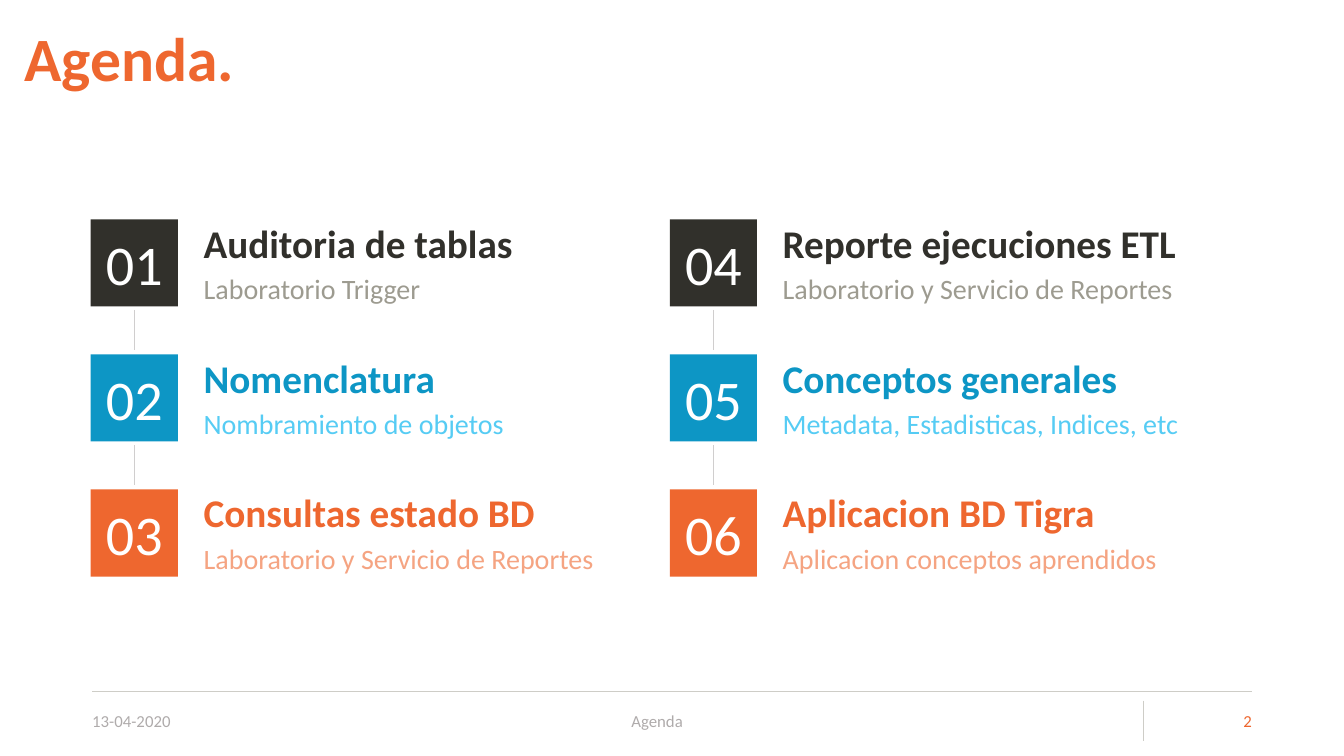
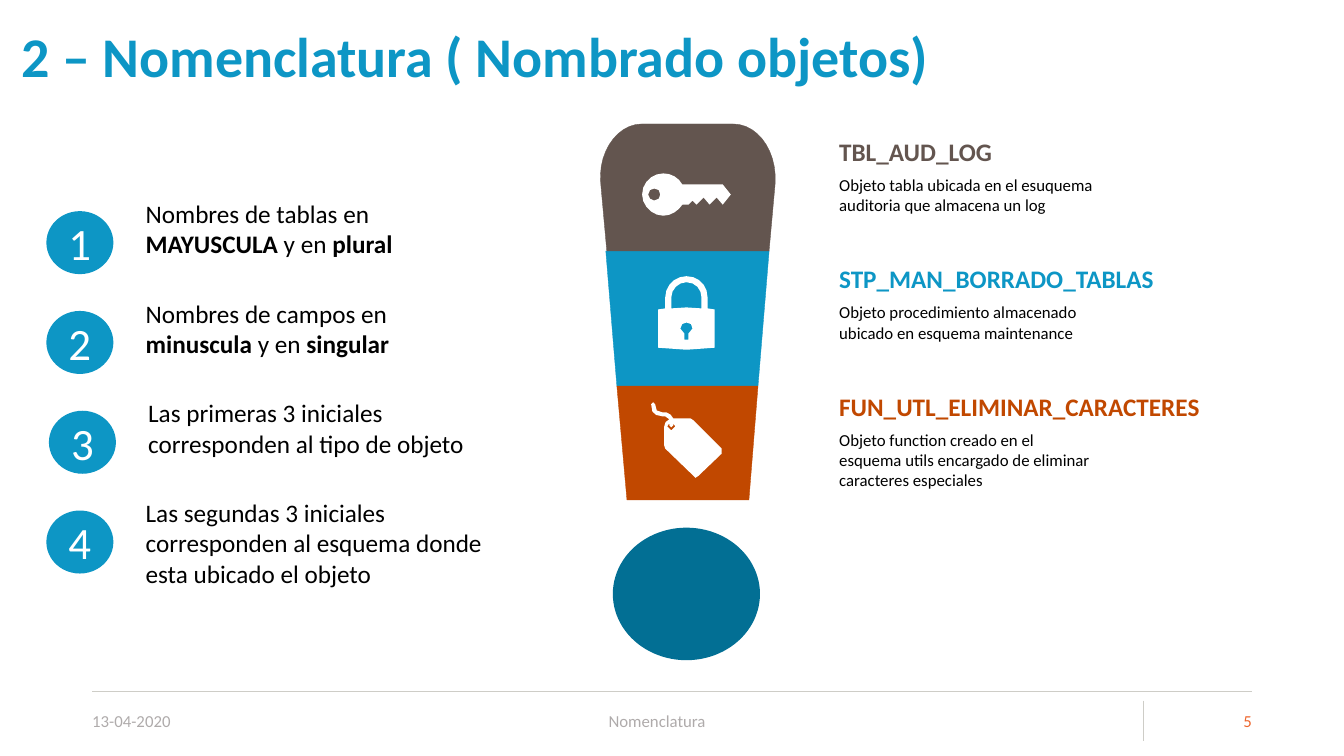
"""Build the agenda and naming-rules slides on a grid of 0.1 inch columns and rows."""
from math import ceil, dist

from lxml.etree import SubElement
from pptx import Presentation
from pptx.dml.color import RGBColor
from pptx.enum.shapes import MSO_CONNECTOR, MSO_SHAPE
from pptx.enum.text import MSO_ANCHOR, MSO_AUTO_SIZE, PP_ALIGN
from pptx.oxml.ns import qn
from pptx.util import Inches, Pt

DARK = RGBColor(0x31, 0x30, 0x2B)
BLUE = RGBColor(0x0D, 0x96, 0xC5)
ORANGE = RGBColor(0xEE, 0x67, 0x2F)
OLIVE = RGBColor(0x9D, 0x9B, 0x90)
SKY = RGBColor(0x56, 0xCC, 0xF4)
PEACH = RGBColor(0xF5, 0xA4, 0x82)
BROWN = RGBColor(0x63, 0x55, 0x4F)
RUST = RGBColor(0xC1, 0x48, 0x00)
TEAL = RGBColor(0x02, 0x6F, 0x94)
BLACK = RGBColor(0x00, 0x00, 0x00)
WHITE = RGBColor(0xFF, 0xFF, 0xFF)
GRAY = RGBColor(0xAF, 0xAB, 0xAB)
RULE = RGBColor(0xCE, 0xCD, 0xC7)
LINK = RGBColor(0xD0, 0xCE, 0xCE)

FONT = "Calibri"
CELL = Inches(0.1)
SIDES = ("margin_left", "margin_top", "margin_right", "margin_bottom")
EDGES = ("left", "top", "width", "height")
ONE_LIST, TWO_LISTS = 1, 3

AGENDA = [
    [("Auditoria de tablas", "Laboratorio Trigger"),
     ("Nomenclatura", "Nombramiento de objetos"),
     ("Consultas estado BD", "Laboratorio y Servicio de Reportes")],
    [("Reporte ejecuciones ETL", "Laboratorio y Servicio de Reportes"),
     ("Conceptos generales", "Metadata, Estadisticas, Indices, etc"),
     ("Aplicacion BD Tigra", "Aplicacion conceptos aprendidos")],
]
AGENDA_COLORS = [(DARK, OLIVE), (BLUE, SKY), (ORANGE, PEACH)]

RULES = [
    (0, "Nombres de tablas en *MAYUSCULA* y en *plural*"),
    (0, "Nombres de campos en *minuscula* y en *singular*"),
    (0.25, "Las primeras 3 iniciales corresponden al tipo de objeto"),
    (0, "Las segundas 3 iniciales corresponden al esquema donde esta ubicado el objeto"),
]
EXAMPLES = [
    ("TBL_AUD_LOG", BROWN,
     "Objeto tabla ubicada en el esuquema auditoria que almacena un log"),
    ("STP_MAN_BORRADO_TABLAS", BLUE,
     "Objeto procedimiento almacenado ubicado en esquema maintenance"),
    ("FUN_UTL_ELIMINAR_CARACTERES", RUST,
     "Objeto function creado en el esquema utils encargado de eliminar caracteres especiales"),
]

SEGMENTS = [
    (BLUE, [(60.1, 24.9), (76.3, 24.9), (75.2, 38.3), (61.2, 38.3)]),
    (BROWN, [(63.7, 12.3), (72.7, 12.3), (75.2, 12.3, 77.1, 15, 76.9, 18.2),
             (76.3, 24.9), (60.2, 24.9), (59.6, 18.2),
             (59.3, 15, 61.3, 12.3, 63.7, 12.3)]),
    (RUST, [(61.2, 38.3), (75.2, 38.3), (74.3, 49.6), (62.2, 49.6)]),
]
TAG = [
    [(66.6, 42.7), (66.4, 42.7, 66.2, 42.6, 66.2, 42.3),
     (66.2, 42.2, 66.3, 42.1, 66.4, 42), (66.4, 42.1, 66.4, 42.1, 66.4, 42.2),
     (66.4, 42.3, 66.5, 42.4, 66.6, 42.4), (66.8, 42.4, 66.8, 42.3, 66.8, 42.2),
     (66.8, 42.1, 66.8, 42.1, 66.8, 42), (67, 42.1, 67, 42.2, 67, 42.3),
     (67, 42.6, 66.9, 42.7, 66.6, 42.7)],
    [(71.6, 44.5), (68.8, 41.7), (68.7, 41.6, 68.6, 41.5, 68.5, 41.5),
     (66.8, 41.5), (66.7, 41.2, 66.4, 41, 66.1, 40.9),
     (66, 40.9, 65.8, 40.9, 65.7, 40.9), (65.2, 40.8, 65, 40.8, 65, 40.1),
     (65, 40, 65, 39.9, 64.8, 39.9), (64.7, 39.9, 64.6, 40, 64.6, 40.1),
     (64.6, 41.1, 65, 41.2, 65.7, 41.3), (65.8, 41.3, 65.9, 41.3, 66, 41.3),
     (66.1, 41.4, 66.3, 41.4, 66.4, 41.6), (66.1, 41.7, 65.9, 42, 65.9, 42.3),
     (65.9, 44.2), (65.9, 44.3, 65.9, 44.4, 66, 44.5), (68.8, 47.2),
     (68.8, 47.3, 68.9, 47.4, 69, 47.4), (69.1, 47.4, 69.2, 47.3, 69.3, 47.2),
     (71.6, 45), (71.7, 44.9, 71.7, 44.6, 71.6, 44.5)],
]
LOCK = [
    [(68.3, 33.1), (68.3, 33.7), (67.9, 33.7), (67.9, 33.1),
     (67.7, 33.1, 67.5, 32.8, 67.5, 32.6), (67.5, 32.2, 67.8, 32, 68.1, 32),
     (68.5, 32, 68.7, 32.2, 68.7, 32.6), (68.7, 32.8, 68.6, 33.1, 68.3, 33.1)],
    [(66.6, 29.5), (66.6, 28.7, 67.3, 28, 68.1, 28),
     (69, 28, 69.6, 28.7, 69.6, 29.5), (69.6, 30.6), (68.1, 30.5), (66.6, 30.6)],
    [(70.2, 30.6), (70.2, 29.5), (70.2, 28.3, 69.3, 27.4, 68.1, 27.4),
     (67, 27.4, 66, 28.3, 66, 29.5), (66, 30.6), (65.3, 30.7), (65.3, 34.5),
     (68.1, 34.7), (70.9, 34.5), (70.9, 30.7)],
]
KEY = [
    [(69.8, 19.6), (70.4, 20.3), (71.1, 19.6), (71.7, 20.3), (72.5, 19.3),
     (71.7, 18.3), (67.7, 18.3), (67.3, 17.6, 66.6, 17.2, 65.8, 17.2),
     (64.7, 17.2, 63.7, 18.1, 63.7, 19.3), (63.7, 20.4, 64.7, 21.4, 65.8, 21.4),
     (66.6, 21.4, 67.3, 20.9, 67.7, 20.3), (68.3, 20.3), (68.7, 19.9), (69.1, 20.3)],
    [(64.9, 19.9), (64.6, 19.9, 64.3, 19.6, 64.3, 19.3),
     (64.3, 18.9, 64.6, 18.7, 64.9, 18.7), (65.3, 18.7, 65.5, 18.9, 65.5, 19.3),
     (65.5, 19.6, 65.3, 19.9, 64.9, 19.9)],
]


def grid(*lengths):
    """Turn grid cells into EMU."""
    return [round(CELL * n) for n in lengths]


def flatten(contour):
    """Replace each cubic curve of a contour by a few straight steps."""
    points = [contour[0]]
    for step in contour[1:]:
        if len(step) == 2:
            points.append(step)
            continue
        ctrl = [points[-1], step[:2], step[2:4], step[4:]]
        count = ceil(1.5 * dist(ctrl[0], ctrl[3]))
        for i in range(1, count + 1):
            t = i / count
            weights = ((1 - t) ** 3, 3 * t * (1 - t) ** 2, 3 * t * t * (1 - t), t ** 3)
            points.append(tuple(sum(w * c[axis] for w, c in zip(weights, ctrl))
                                for axis in (0, 1)))
    return [grid(*point) for point in points]


class Deck:
    """Hold the shared style and the current slide."""

    def __init__(self):
        """Start an empty widescreen presentation."""
        self.prs = Presentation()
        self.prs.slide_width, self.prs.slide_height = grid(133.33, 75)
        self.s = None

    def slide(self, layout, title, at, size, color, footer, number):
        """Add a slide with its title, footer rules and footer texts."""
        self.s = self.prs.slides.add_slide(self.prs.slide_layouts[layout])
        self.line(9.15, 68.6, 124.2, 68.6, RULE)
        self.line(113.45, 69.5, 113.45, 73.5, RULE)
        tf = self.place(0, at, (0, 0.5, 1, 0.5), MSO_ANCHOR.MIDDLE)
        self.para(tf, title, size, color, bold=True,
                  alignment=PP_ALIGN.LEFT, line_spacing=0.9)
        for text, x, w, side, ink, align in (
                ("13-04-2020", 9.15, 14.2, (0, 0), GRAY, PP_ALIGN.LEFT),
                (footer, 28.9, 75.6, (1, 4), GRAY, PP_ALIGN.CENTER),
                (number, 114.7, 9.5, (0, 0), ORANGE, PP_ALIGN.RIGHT)):
            self.text(text, (x, 69.5, w, 4), 12, ink, (side[0], 0.5, side[1], 0.5),
                      MSO_ANCHOR.MIDDLE, alignment=align)

    def frame(self, tf, insets, anchor):
        """Format a text frame."""
        fmt = {"word_wrap": True, "auto_size": MSO_AUTO_SIZE.NONE,
               "vertical_anchor": anchor, **dict(zip(SIDES, grid(*insets)))}
        for name, value in fmt.items():
            setattr(tf, name, value)
        return tf

    def place(self, index, at, insets, anchor=MSO_ANCHOR.TOP):
        """Move a placeholder and return its text frame."""
        sp = self.s.placeholders[index]
        for name, value in zip(EDGES, grid(*at)):
            setattr(sp, name, value)
        return self.frame(sp.text_frame, insets, anchor)

    def para(self, tf, text, size, color, bold=False, **fmt):
        """Write a paragraph, with bold between asterisks."""
        p = tf.paragraphs[0]
        if p.runs:
            p = tf.add_paragraph()
        for name, value in fmt.items():
            setattr(p, name, value)
        for i, part in enumerate(text.split("*")):
            if part:
                r = p.add_run()
                r.text = part
                r.font.color.rgb = color
                for name, value in {"name": FONT, "size": Pt(size),
                                    "bold": bold or i % 2 == 1}.items():
                    setattr(r.font, name, value)
        return p

    def item(self, tf, text, size, color, after, bold=False, shift=0):
        """Write a list paragraph without a bullet."""
        p = self.para(tf, text, size, color, bold,
                      space_before=Pt(0), space_after=Pt(after))
        pPr = p._p.get_or_add_pPr()
        pPr.set("marL", str(grid(shift)[0]))
        pPr.set("indent", "0")
        SubElement(pPr, qn("a:buNone"))

    def text(self, text, at, size, color, insets, anchor=MSO_ANCHOR.TOP, bold=False, **fmt):
        """Add a text box with one paragraph."""
        tf = self.s.shapes.add_textbox(*grid(*at)).text_frame
        self.para(self.frame(tf, insets, anchor), text, size, color, bold, **fmt)

    def paint(self, sp, color, outline=False):
        """Fill a shape and set its outline."""
        sp.shadow.inherit = False
        sp.fill.solid()
        sp.fill.fore_color.rgb = color
        if outline:
            sp.line.color.rgb = color
            sp.line.width = Pt(0.25)
        else:
            sp.line.fill.background()

    def shape(self, kind, at, color, label="", size=40, inset=0.4):
        """Add a preset shape with a centred white label."""
        sp = self.s.shapes.add_shape(kind, *grid(*at))
        self.paint(sp, color)
        if label:
            tf = self.frame(sp.text_frame, [inset] * 4, MSO_ANCHOR.MIDDLE)
            self.para(tf, label, size, WHITE, alignment=PP_ALIGN.CENTER)

    def outline(self, contours, color, outline=False):
        """Add a freeform made of closed contours."""
        first, *others = [flatten(contour) for contour in contours]
        fb = self.s.shapes.build_freeform(*first[0])
        fb.add_line_segments(first[1:], close=True)
        for points in others:
            fb.move_to(*points[0])
            fb.add_line_segments(points[1:], close=True)
        self.paint(fb.convert_to_shape(), color, outline)

    def line(self, x1, y1, x2, y2, color):
        """Add a thin straight line."""
        cx = self.s.shapes.add_connector(MSO_CONNECTOR.STRAIGHT, *grid(x1, y1, x2, y2))
        cx.line.color.rgb = color
        cx.line.width = Pt(0.5)
        SubElement(cx._element.spPr, qn("a:effectLst"))


def agenda(deck):
    """Build the agenda slide."""
    deck.slide(TWO_LISTS, "Agenda.", (2.4, 0.5, 81.9, 11.3), 44, ORANGE, "Agenda", "2")
    top, pitch, side = 21.75, 13.4, 8.65
    for col, topics in enumerate(AGENDA):
        x = 9 + 57.45 * col
        tf = deck.place(col + 1, (x + 10.2, top, 47.6, 36), (1, 0, 1, 0))
        for row, (topic, detail) in enumerate(topics):
            y = top + pitch * row
            strong, soft = AGENDA_COLORS[row]
            deck.item(tf, topic, 28, strong, 4, bold=True)
            deck.item(tf, detail, 20, soft, 34.6)
            number = f"{col * len(topics) + row + 1:02}"
            deck.shape(MSO_SHAPE.RECTANGLE, (x, y, side, side), strong, number)
            if row:
                deck.line(x + side / 2, y - 4.4, x + side / 2, y - 0.4, LINK)


def naming(deck):
    """Build the naming-rules slide."""
    deck.slide(ONE_LIST, "2 – Nomenclatura ( Nombrado objetos)",
               (2.1, 1.7, 108.7, 8.4), 40, BLUE, "Nomenclatura", "5")
    deck.shape(MSO_SHAPE.OVAL, (60.8, 52.35, 14.6, 13.15), TEAL)
    for color, contour in SEGMENTS:
        deck.outline([contour], color, outline=True)
    for icon in (TAG, LOCK, KEY):
        deck.outline(icon, WHITE)
    for row, (name, color, detail) in enumerate(EXAMPLES):
        y = 13 + 12.66 * row
        deck.text(name, (83.25, y, 37, 4), 18, color, (0, 0.5, 1, 0.5),
                  MSO_ANCHOR.BOTTOM, bold=True)
        deck.text(detail, (83.25, y + 3.82, 26.5, 7.1), 12, BLACK, (0, 0.5, 1, 0.5))
    tf = deck.place(1, (14.45, 19.15, 35, 41), (0, 0.5, 1, 0.5))
    for row, (shift, rule) in enumerate(RULES):
        deck.item(tf, rule, 18, BLACK, 28.1, shift=shift)
        deck.shape(MSO_SHAPE.OVAL, (4.6 + shift, 20.95 + 9.9 * row, 6.65, 6.25), BLUE,
                   str(row + 1), 32)


def main():
    """Build and save both slides."""
    deck = Deck()
    agenda(deck)
    naming(deck)
    deck.prs.save("out.pptx")


if __name__ == "__main__":
    main()
